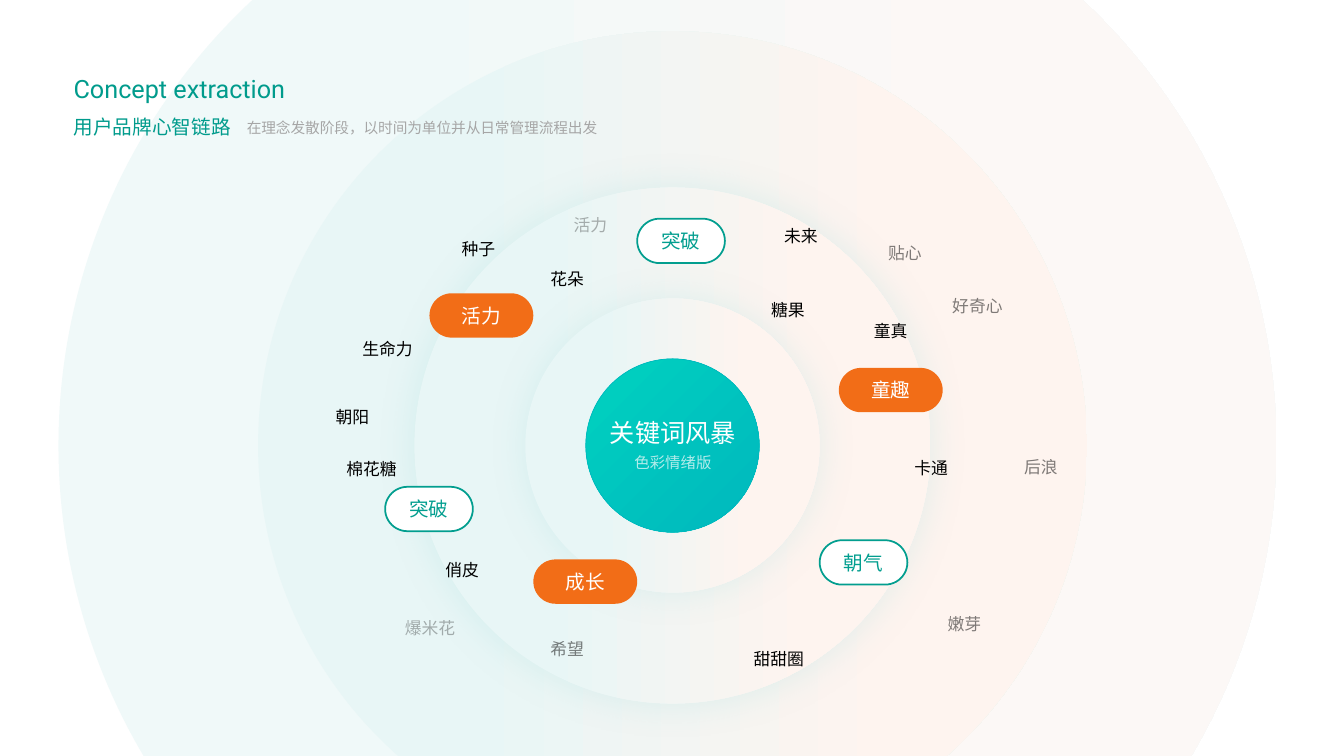
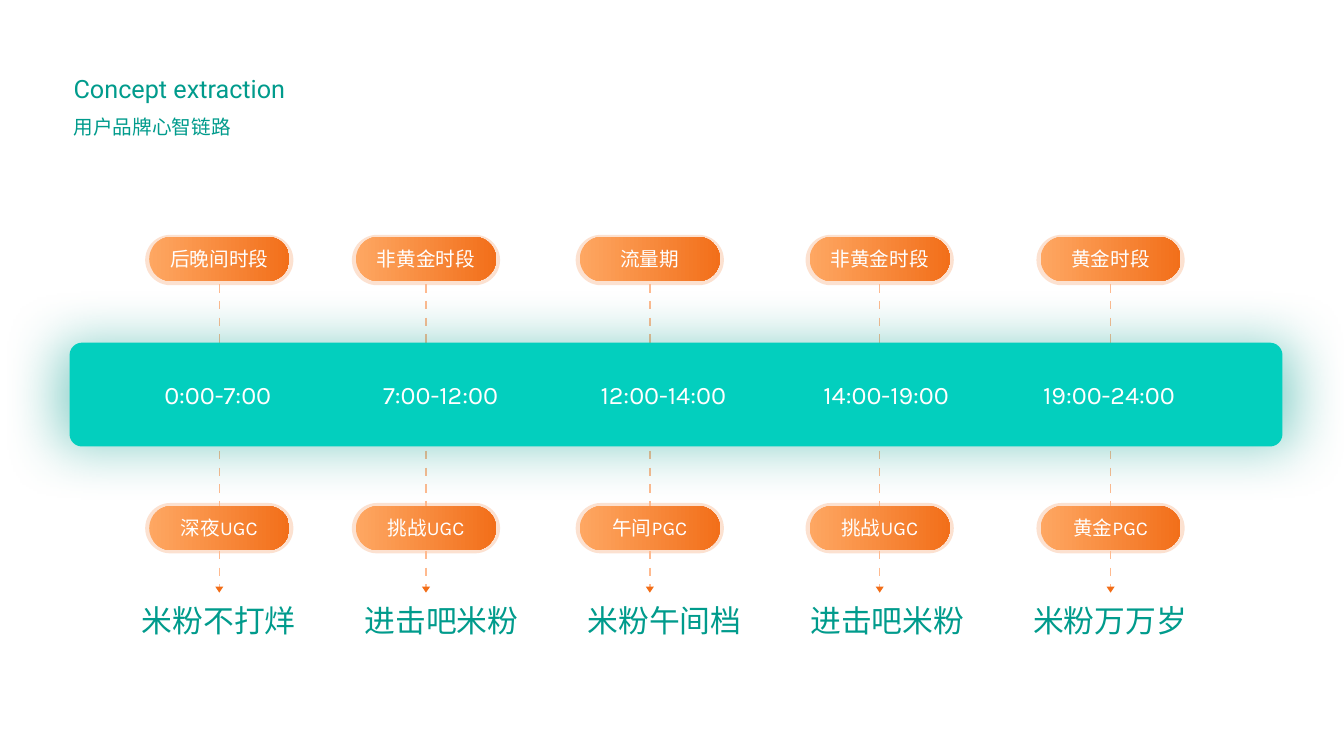
"""Build a keyword brainstorm slide and a daily timeline slide."""
import math

import lxml.etree
import pptx
import pptx.dml.color
import pptx.enum.shapes
import pptx.enum.text
import pptx.oxml.ns
import pptx.util

PX = 9144
WIDE, HIGH = 1333, 750
KIND = pptx.enum.shapes.MSO_SHAPE
ALIGN = pptx.enum.text.PP_ALIGN
QN = pptx.oxml.ns.qn


class Theme:
    """Colours, fonts and type sizes."""
    teal, edge, bar, white, black = "009B8C", "029E8F", "03CFBE", "FFFFFF", "000000"
    orange, dash, grey, glow, rim = "F26D17", "FFBA8F", "A6A6A6", "A7DEDD", "00B9BE"
    outer, inner = ("F0F9F9", "FCF8F6"), ("E8F6F6", "FEF4EF")
    core, warm = ("00D2BF", "00B7BE"), ("FEA762", "F26F1A")
    head, main, word = "Roboto", "Karla", "Cabin"
    big, large, mid, base, small, note = 22, 18, 14, 12, 11, 10.5


TITLE, SUB = "Concept extraction", "用户品牌心智链路"
NOTE = "在理念发散阶段，以时间为单位并从日常管理流程出发"
HUB, FLOOR = 442, 754
DOMES = [(662, 604, Theme.outer), (667, 411, Theme.inner)]
RINGS = [(667, 256), (667, 146)]
CORE = (667, 86)
SOLID = [("童趣", 832, 365), ("成长", 529, 555), ("活力", 426, 291)]
HOLLOW = [("突破", 632, 217), ("突破", 382, 483), ("朝气", 813, 536)]
WORDS = {
    100: [
        ("卡通", 882, 449), ("童真", 842, 313), ("糖果", 740, 292), ("未来", 753, 219),
        ("花朵", 521, 262), ("生命力", 343, 331), ("朝阳", 308, 399), ("棉花糖", 327, 450),
        ("俏皮", 417, 550), ("甜甜圈", 731, 639), ("种子", 433, 232),
    ],
    50: [
        ("贴心", 856, 236), ("好奇心", 928, 288), ("后浪", 991, 448),
        ("嫩芽", 915, 604), ("希望", 521, 629),
    ],
    30: [("爆米花", 385, 608), ("活力", 544, 208)],
}
STEPS = [
    (148, "后晚间时段", "0:00-7:00", "深夜UGC", "米粉不打烊"),
    (353, "非黄金时段", "7:00-12:00", "挑战UGC", "进击吧米粉"),
    (575, "流量期", "12:00-14:00", "午间PGC", "米粉午间档"),
    (803, "非黄金时段", "14:00-19:00", "挑战UGC", "进击吧米粉"),
    (1032, "黄金时段", "19:00-24:00", "黄金PGC", "米粉万万岁"),
]
FIRST, PITCH = 130, 221
SPAN = 139
ROWS = ((233, 235), (499, 502))


def rgb(code):
    return pptx.dml.color.RGBColor.from_string(code)


def emu(*nums):
    return [round(n * PX) for n in nums]


def fade(node, part):
    for tint in node.iter(QN("a:srgbClr")):
        lxml.etree.SubElement(tint, QN("a:alpha"), val=str(part * 1000))


def glow(shape, code, blur, part):
    root = shape.element.spPr.find(QN("a:effectLst"))
    cast = lxml.etree.SubElement(
        root, QN("a:outerShdw"), blurRad=str(blur * 12700), dist="0", dir="0",
        sx="102000", sy="102000", algn="ctr", rotWithShape="0")
    lxml.etree.SubElement(cast, QN("a:srgbClr"), val=code)
    fade(cast, part)


def paint(shape, fill, line=None, width=1, ends=(0, 1), angle=0):
    shape.shadow.inherit = False
    if isinstance(fill, tuple):
        shape.fill.gradient()
        shape.fill.gradient_angle = angle
        for stop, code, place in zip(shape.fill.gradient_stops, fill, ends):
            stop.color.rgb = rgb(code)
            stop.position = place
    else:
        shape.fill.solid()
        shape.fill.fore_color.rgb = rgb(fill)
    if line:
        shape.line.color.rgb = rgb(line)
        shape.line.width = pptx.util.Pt(width)
    else:
        shape.line.fill.background()
    return shape


def write(frame, text, size, font, code, align=ALIGN.CENTER, part=100):
    frame.text = text
    para = frame.paragraphs[0]
    para.alignment = align
    para.space_before = pptx.util.Pt(0)
    run = para.runs[0]
    run.font.size = pptx.util.Pt(size)
    run.font.name = font
    run.font.color.rgb = rgb(code)
    if part < 100:
        fade(run.font.fill._xPr, part)


def label(slide, spot, text, size, font, code, align=ALIGN.CENTER, part=100, wrap=True):
    frame = slide.shapes.add_textbox(*emu(*spot)).text_frame
    frame.word_wrap = wrap
    write(frame, text, size, font, code, align, part)


def pill(slide, spot, fill, text="", code=Theme.white, font=Theme.word, line=None, curve=0.5):
    shape = slide.shapes.add_shape(KIND.ROUNDED_RECTANGLE, *emu(*spot))
    shape.adjustments[0] = curve
    paint(shape, fill, line, 1.25)
    if text:
        frame = shape.text_frame
        frame.word_wrap = False
        frame.vertical_anchor = pptx.enum.text.MSO_ANCHOR.MIDDLE
        write(frame, text, Theme.mid, font, code)
    return shape


def disc(slide, mid, size):
    return slide.shapes.add_shape(KIND.OVAL, *emu(mid - size, HUB - size, 2 * size, 2 * size))


def arc(mid, size, start, stop):
    """Give the two handles and the end of a curve between two angles."""
    pull = 4 / 3 * math.tan((stop - start) / 4)
    spots = []
    for turn, bend in ((start, pull), (stop, -pull), (stop, 0)):
        cos, sin = math.cos(turn), math.sin(turn)
        spots.append(emu(mid + size * (cos - bend * sin), HUB + size * (sin + bend * cos)))
    return spots


def dome(slide, mid, size):
    """Draw a circle cut flat at the slide's top and bottom."""
    low = math.asin((FLOOR - HUB) / size)
    high = math.asin(min(1, HUB / size))
    turns = [low, 0, -high, high - math.pi, -math.pi, -math.pi - low]
    parts = [arc(mid, size, a, b) for a, b in zip(turns, turns[1:])]
    parts[2] = parts[2][2:]
    first = arc(mid, size, low, low)[2]
    path = slide.shapes.build_freeform(*first, scale=1.0)
    path.add_line_segments(sum(parts, []), close=True)
    shape = path.convert_to_shape()
    nodes = iter(list(shape.element.iter(QN("a:lnTo"))))
    for part in parts:
        node = next(nodes)
        if len(part) == 3:
            node.tag = QN("a:cubicBezTo")
            for extra in (next(nodes), next(nodes)):
                node.append(extra[0])
                extra.getparent().remove(extra)
    return shape


def setup(deck):
    layout = deck.slide_layouts[0]
    spots = [(63, 68, 293, 40), (63, 109, 245, 34)]
    for hold, spot in zip(layout.placeholders, spots):
        hold.left, hold.top, hold.width, hold.height = emu(*spot)
    return layout


def start(deck, layout):
    slide = deck.slides.add_slide(layout)
    heads = [(TITLE, Theme.large, Theme.head), (SUB, Theme.mid, Theme.main)]
    for hold, (text, size, font) in zip(slide.placeholders, heads):
        frame = hold.text_frame
        write(frame, text, size, font, Theme.teal, ALIGN.LEFT)
        frame.word_wrap = True
        frame.auto_size = pptx.enum.text.MSO_AUTO_SIZE.NONE
        frame.vertical_anchor = pptx.enum.text.MSO_ANCHOR.TOP
    return slide


def lift(slide, heads):
    for hold in heads:
        slide.shapes._spTree.append(hold.element)


def storm(slide):
    heads = list(slide.placeholders)
    ends = (0.25, 0.77)
    for mid, size, fill in DOMES:
        paint(dome(slide, mid, size), fill, ends=ends)
    for mid, size in RINGS:
        glow(paint(disc(slide, mid, size), Theme.inner, ends=ends), Theme.glow, 23, 25)
    paint(disc(slide, *CORE), Theme.core, Theme.rim, 0.5, angle=315)
    lift(slide, heads)
    label(slide, (235, 113, 484, 29), NOTE, Theme.note, Theme.main, Theme.grey, ALIGN.LEFT)
    label(slide, (570, 409, 195, 40), "关键词风暴", Theme.large, Theme.main, Theme.white)
    label(slide, (570, 445, 195, 29), "色彩情绪版", Theme.small, Theme.word, Theme.white, part=70)
    for text, left, top in SOLID:
        pill(slide, (left, top, 103, 44), Theme.orange, text)
    for text, left, top in HOLLOW:
        pill(slide, (left, top, 87, 44), Theme.white, text, Theme.edge, line=Theme.edge)
    for part, group in WORDS.items():
        for text, left, top in group:
            label(slide, (left, top, 83, 30), text, Theme.base, Theme.word, Theme.black, part=part)


def arrow(slide, mid):
    line = slide.shapes.add_connector(
        pptx.enum.shapes.MSO_CONNECTOR.STRAIGHT, *emu(mid, 282, mid, 584))
    line.line.color.rgb = rgb(Theme.dash)
    line.line.width = pptx.util.Pt(1)
    dash = lxml.etree.SubElement(line.line._ln, QN("a:custDash"))
    lxml.etree.SubElement(dash, QN("a:ds"), d="600000", sp="600000")
    lxml.etree.SubElement(line.element.spPr, QN("a:effectLst"))
    paint(slide.shapes.add_shape(KIND.FLOWCHART_MERGE, *emu(mid - 4, 582, 8, 6)), Theme.orange)


def clock(slide):
    for left, *texts in STEPS:
        for top, down in ROWS:
            halo = pill(slide, (left - 4, top, 147, 50), Theme.orange)
            fade(halo.element.spPr, 20)
        arrow(slide, left + SPAN / 2)
    band = pill(slide, (69, 340, 1203, 103), Theme.bar, curve=0.12)
    glow(band, Theme.teal, 40, 46)
    for step, (left, span, time, show, motto) in enumerate(STEPS):
        for (top, down), text in zip(ROWS, (span, show)):
            pill(slide, (left, down, SPAN, 44), Theme.warm, text, font=Theme.main)
        side = FIRST + PITCH * step
        label(slide, (side - 1, 371, 174, 40), time, Theme.large, Theme.main, Theme.white, wrap=False)
        label(slide, (side, 592, 174, 47), motto, Theme.big, Theme.word, Theme.teal, wrap=False)


def main():
    deck = pptx.Presentation()
    deck.slide_width, deck.slide_height = emu(WIDE, HIGH)
    layout = setup(deck)
    for draw in (storm, clock):
        draw(start(deck, layout))
    deck.save("out.pptx")


if __name__ == "__main__":
    main()
